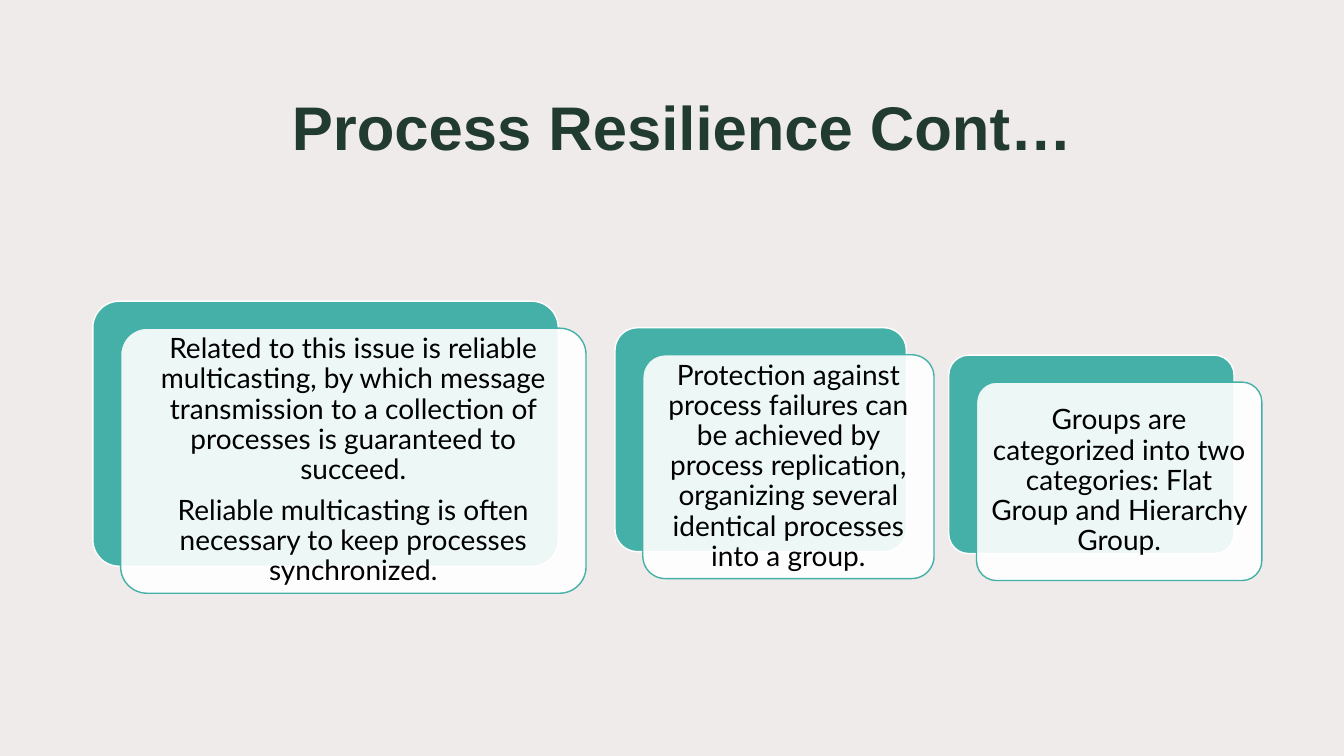
import dataclasses
import typing

import lxml.etree
import pptx
import pptx.dml.color
import pptx.enum.shapes
import pptx.enum.text
import pptx.oxml.ns
import pptx.util

Cm = pptx.util.Cm
Pt = pptx.util.Pt
qn = pptx.oxml.ns.qn
Align = pptx.enum.text.PP_ALIGN
Anchor = pptx.enum.text.MSO_ANCHOR


@dataclasses.dataclass(frozen=True)
class Theme:
    background: str = "EFEBEB"
    title: str = "213B31"
    teal: str = "45B0A7"
    white: str = "FFFFFF"
    body: str = "000000"
    title_font: str = "Arial"
    body_font: str = "Lato"
    title_size: float = 44
    body_size: float = 20


@dataclasses.dataclass(frozen=True)
class Card:
    """Teal back plate in centimetres, and the paragraphs on its front panel."""
    left: float
    top: float
    width: float
    height: float
    paragraphs: tuple[str, ...]


THEME = Theme()
PANEL_SHIFT_X = 0.7
PANEL_SHIFT_Y = 0.68
PANEL_OPACITY = 90

CARDS = (
    Card(2.34, 7.59, 11.73, 6.68, (
        "Related to this issue is reliable multicasting, by which message "
        "transmission to a collection of processes is guaranteed to succeed.",
        "Reliable multicasting is often necessary to keep processes synchronized.",
    )),
    Card(15.5, 8.26, 7.34, 5.64, (
        "Protection against process failures can be achieved by process "
        "replication, organizing several identical processes into a group.",
    )),
    Card(23.91, 8.95, 7.19, 5, (
        "Groups are categorized into two categories: Flat Group and Hierarchy Group.",
    )),
)


def rgb(value: str) -> pptx.dml.color.RGBColor:
    return pptx.dml.color.RGBColor.from_string(value)


def write_text(tf: typing.Any, paragraphs: typing.Sequence[str], *, font: str,
               size: float, color: str, bold: bool = False,
               anchor: typing.Any = Anchor.MIDDLE,
               line_spacing: float = 1.0, space_after: float = 0) -> None:
    tf.word_wrap = True
    tf.auto_size = pptx.enum.text.MSO_AUTO_SIZE.NONE
    tf.vertical_anchor = anchor
    for i, text in enumerate(paragraphs):
        p = tf.add_paragraph() if i else tf.paragraphs[0]
        p.alignment = Align.CENTER
        p.line_spacing = line_spacing
        p.space_after = Pt(space_after)
        r = p.add_run()
        r.text = text
        r.font.name = font
        r.font.size = Pt(size)
        r.font.bold = bold
        r.font.color.rgb = rgb(color)


def add_plate(slide: typing.Any, left: float, top: float, width: float,
              height: float, *, fill: str, line: str, opacity: int = 100) -> typing.Any:
    s = slide.shapes.add_shape(pptx.enum.shapes.MSO_SHAPE.ROUNDED_RECTANGLE,
                               Cm(left), Cm(top), Cm(width), Cm(height))
    s.adjustments[0] = 0.1
    s.shadow.inherit = False
    s.fill.solid()
    s.fill.fore_color.rgb = rgb(fill)
    s.line.color.rgb = rgb(line)
    s.line.width = Pt(1)
    if opacity < 100:
        color = s.element.spPr.find(qn("a:solidFill")).find(qn("a:srgbClr"))
        lxml.etree.SubElement(color, qn("a:alpha"), val=str(opacity * 1000))
    return s


def add_card(slide: typing.Any, card: Card) -> None:
    add_plate(slide, card.left, card.top, card.width, card.height,
              fill=THEME.teal, line=THEME.white)
    panel = add_plate(slide, card.left + PANEL_SHIFT_X, card.top + PANEL_SHIFT_Y,
                      card.width, card.height, fill=THEME.white, line=THEME.teal,
                      opacity=PANEL_OPACITY)
    tf = panel.text_frame
    tf.margin_left = tf.margin_right = tf.margin_top = tf.margin_bottom = Cm(0.2)
    write_text(tf, card.paragraphs, font=THEME.body_font, size=THEME.body_size,
               color=THEME.body, line_spacing=0.9, space_after=7.5)


def add_title(slide: typing.Any, text: str) -> None:
    title = slide.shapes.title
    title.left, title.top = Cm(3.33), Cm(1.07)
    title.width, title.height = Cm(27.74), Cm(3.15)
    write_text(title.text_frame, [text], font=THEME.title_font,
               size=THEME.title_size, color=THEME.title, bold=True,
               anchor=Anchor.BOTTOM)


def main() -> None:
    prs = pptx.Presentation()
    prs.slide_width, prs.slide_height = Cm(33.87), Cm(19.05)
    slide = prs.slides.add_slide(prs.slide_layouts.get_by_name("Title Only"))
    slide.background.fill.solid()
    slide.background.fill.fore_color.rgb = rgb(THEME.background)
    add_title(slide, "Process Resilience Cont…")
    for card in CARDS:
        add_card(slide, card)
    prs.save("out.pptx")


if __name__ == "__main__":
    main()
